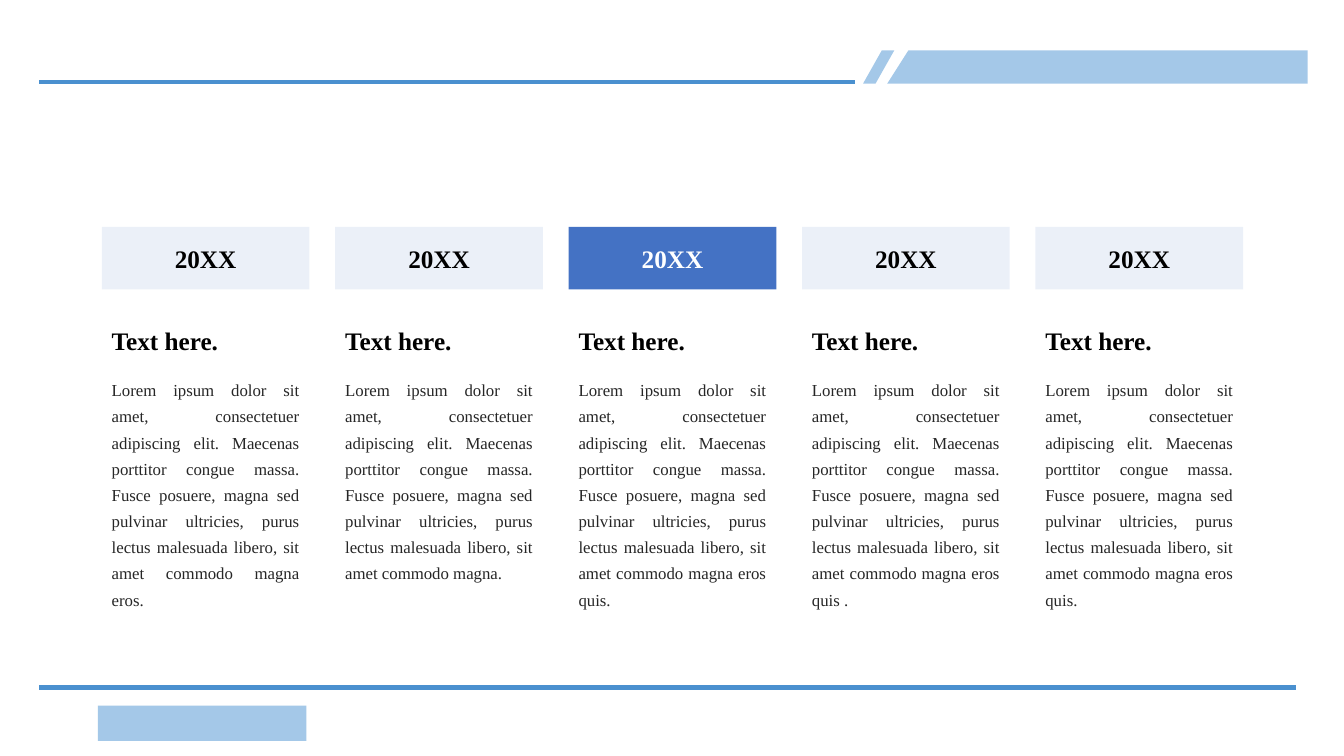
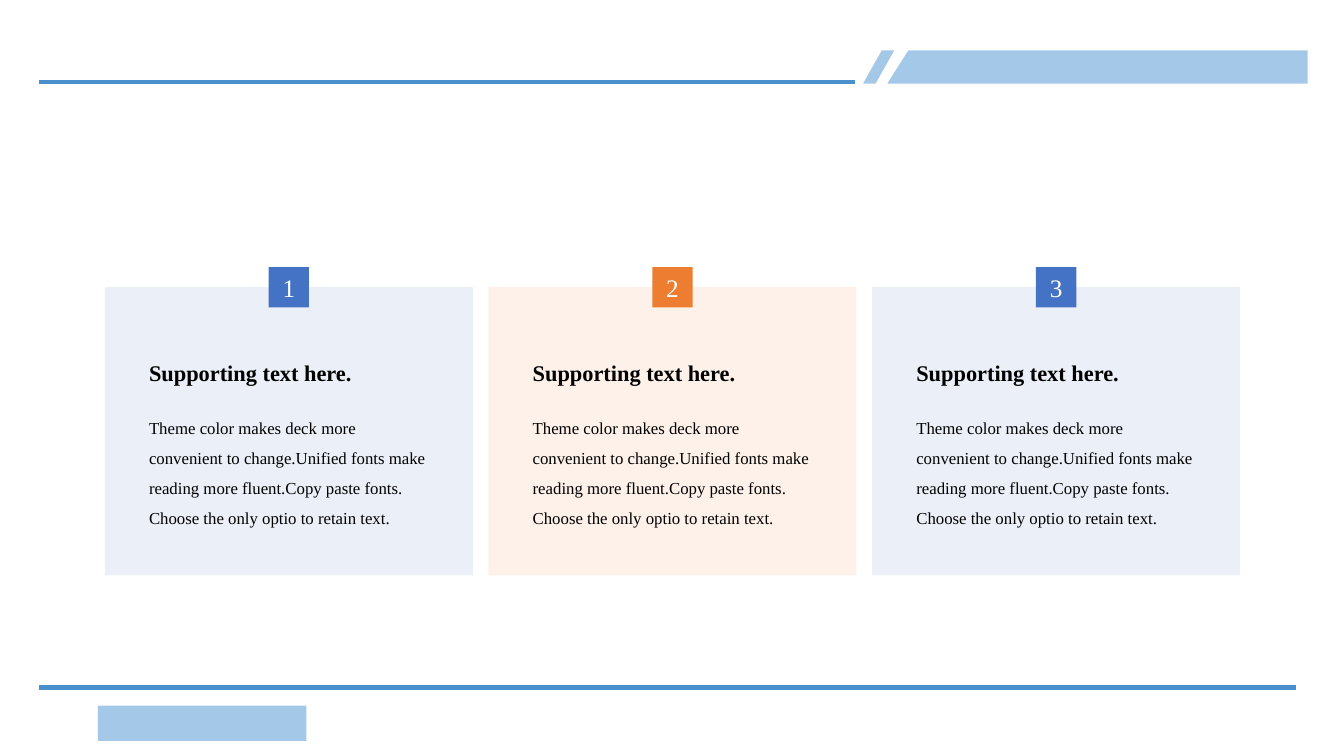
from lxml.etree import SubElement
from pptx import Presentation
from pptx.dml.color import RGBColor
from pptx.enum.shapes import MSO_CONNECTOR as Connector, MSO_SHAPE as Shape
from pptx.enum.text import MSO_ANCHOR as Anchor, PP_ALIGN as Align
from pptx.oxml.ns import qn
from pptx.util import Emu, Pt

EMU_PER_PX = 9144  # 100 px to the inch

BLUE = RGBColor(0x44, 0x72, 0xC4)
ORANGE = RGBColor(0xED, 0x7D, 0x31)
RULE_BLUE = RGBColor(0x4A, 0x90, 0xCF)
BAND_BLUE = RGBColor(0x37, 0x86, 0xCD)
BLACK = RGBColor(0x00, 0x00, 0x00)
DARK_GREY = RGBColor(0x26, 0x26, 0x26)
WHITE = RGBColor(0xFF, 0xFF, 0xFF)

PALE = 10
BAND_OPACITY = 45

SERIF = "Times New Roman"
YEAR_FONT = {"name": SERIF, "size": Pt(18), "bold": True}
NUMBER_FONT = {"name": SERIF, "size": Pt(18)}
CARD_HEADING_FONT = {"name": SERIF, "size": Pt(16), "bold": True}
BODY_FONT = {"name": SERIF, "size": Pt(12)}

CENTERED = {"alignment": Align.CENTER}
JUSTIFIED = {"alignment": Align.JUSTIFY, "line_spacing": 1.3}

LOREM = (
    "Lorem ipsum dolor sit amet, consectetuer adipiscing elit. Maecenas "
    "porttitor congue massa. Fusce posuere, magna sed pulvinar ultricies, "
    "purus lectus malesuada libero, sit amet commodo magna"
)
YEAR_ENDINGS = [" eros.", ".", " eros quis.", " eros quis .", " eros quis."]
CURRENT_YEAR = 2
CARD_TEXT = (
    "Theme color makes deck more convenient to change.Unified fonts make "
    "reading more fluent.Copy paste fonts. Choose the only optio to retain text."
)
CARD_COLORS = [BLUE, ORANGE, BLUE]


def px(length):
    return Emu(round(length * EMU_PER_PX))


def spread(left, right, width, count):
    """Left edges of equally spaced items that fill left to right."""
    pitch = (right - left - width) / (count - 1)
    return [left + pitch * index for index in range(count)]


def apply(target, values):
    for attribute, value in values.items():
        setattr(target, attribute, value)


def paint(shape, color, opacity=100):
    shape.shadow.inherit = False
    shape.fill.solid()
    shape.fill.fore_color.rgb = color
    shape.line.fill.background()
    if opacity < 100:
        fill_color = next(shape.element.iter(qn("a:srgbClr")))
        SubElement(fill_color, qn("a:alpha"), val=str(opacity * 1000))


def write(shape, text, font, color, paragraph_format, anchor=Anchor.TOP, wrap=True):
    frame = shape.text_frame
    apply(frame, {"word_wrap": wrap, "vertical_anchor": anchor})
    paragraph = frame.paragraphs[0]
    apply(paragraph, paragraph_format)
    run = paragraph.add_run()
    run.text = text
    apply(run.font, font)
    run.font.color.rgb = color


def add_text(slide, box, *content, **options):
    write(slide.shapes.add_textbox(*map(px, box)), *content, **options)


def add_block(slide, box, color, opacity=100, kind=Shape.RECTANGLE):
    block = slide.shapes.add_shape(kind, *map(px, box))
    paint(block, color, opacity)
    return block


def add_rule(slide, left, right, y):
    rule = slide.shapes.add_connector(
        Connector.STRAIGHT, px(left), px(y), px(right), px(y)
    )
    rule.line.color.rgb = RULE_BLUE
    rule.line.width = Pt(3)
    SubElement(rule.element.spPr, qn("a:effectLst"))


def add_header_band(slide):
    outline = slide.shapes.build_freeform(901, 50, scale=EMU_PER_PX)
    outline.add_line_segments([(1297, 50), (1297, 83), (880, 83)], close=True)
    paint(outline.convert_to_shape(), BAND_BLUE, BAND_OPACITY)
    slash = add_block(
        slide, (856, 50, 31, 33), BAND_BLUE, BAND_OPACITY, Shape.PARALLELOGRAM
    )
    slash.adjustments[0] = 0.6


def furnish_layout(slide):
    """Draw the shared parts with the slide's tools, then move them to its layout."""
    add_rule(slide, 39, 1285, 682)
    add_header_band(slide)
    add_rule(slide, 39, 848, 81)
    add_block(slide, (97, 700, 207, 35), BAND_BLUE, BAND_OPACITY)
    for part in list(slide.shapes):
        slide.slide_layout.shapes.element.append(part.element)


def add_year(slide, left, ending, current):
    year = add_block(slide, (left, 225, 206, 62), BLUE, 100 if current else PALE)
    write(year, "20XX", YEAR_FONT, WHITE if current else BLACK, CENTERED, Anchor.MIDDLE)
    add_text(
        slide, (left, 315, 127, 43), "Text here.", YEAR_FONT, BLACK,
        {"line_spacing": 1.2}, anchor=Anchor.BOTTOM, wrap=False,
    )
    add_text(
        slide, (left, 366, 206, 244), LOREM + ending, BODY_FONT, DARK_GREY, JUSTIFIED
    )


def add_card(slide, left, number, color):
    width, badge_size, inset = 365, 40, 34
    text_left, text_width = left + inset, width - 2 * inset
    add_block(slide, (left, 285, width, 286), color, PALE)
    add_text(
        slide, (text_left, 399, text_width, 128), CARD_TEXT, BODY_FONT, BLACK,
        {"line_spacing": 1.5},
    )
    add_text(
        slide, (text_left, 351, text_width, 37), "Supporting text here.",
        CARD_HEADING_FONT, BLACK, {}, anchor=Anchor.BOTTOM,
    )
    badge_left = left + (width - badge_size) / 2
    badge = add_block(slide, (badge_left, 265, badge_size, badge_size), color)
    write(badge, str(number), NUMBER_FONT, WHITE, CENTERED, Anchor.MIDDLE)


def main():
    deck = Presentation()
    apply(deck, {"slide_width": px(1333), "slide_height": px(750)})
    blank = deck.slide_layouts[6]

    timeline = deck.slides.add_slide(blank)
    furnish_layout(timeline)
    columns = spread(101, 1233, 206, len(YEAR_ENDINGS))
    for index, (left, ending) in enumerate(zip(columns, YEAR_ENDINGS)):
        add_year(timeline, left, ending, index == CURRENT_YEAR)

    cards = deck.slides.add_slide(blank)
    columns = spread(104, 1230, 365, len(CARD_COLORS))
    for number, (left, color) in enumerate(zip(columns, CARD_COLORS), start=1):
        add_card(cards, left, number, color)

    deck.save("out.pptx")


if __name__ == "__main__":
    main()
